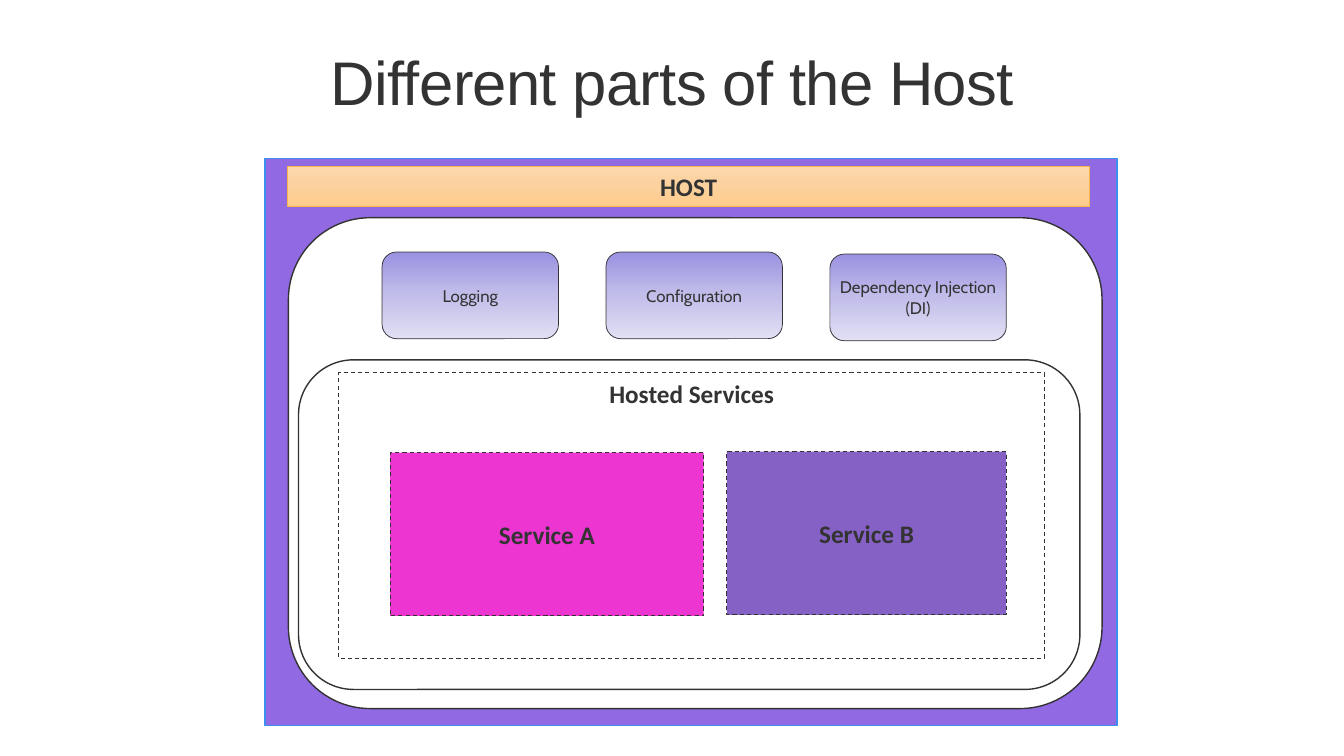
from copy import deepcopy
from pptx import Presentation
from pptx.dml.color import RGBColor
from pptx.enum.dml import MSO_LINE
from pptx.enum.shapes import MSO_SHAPE
from pptx.enum.text import MSO_ANCHOR, MSO_AUTO_SIZE, PP_ALIGN
from pptx.oxml.ns import qn
from pptx.util import Inches, Pt

INK = "333333"
WHITE = "FFFFFF"
CARD_GRADIENT = ["9A92E1", "C2BEEA", "E1DFF4"]
HOST_GRADIENT = ["FDD9AC", "FBD19D", "FFCC8B"]

deck = Presentation()
deck.slide_width = Inches(13.33)
deck.slide_height = Inches(7.5)
page = deck.slides.add_slide(deck.slide_layouts[5])

# One percent of the slide's width and height
COLUMN = deck.slide_width / 100
ROW = deck.slide_height / 100


def color(value):
    return RGBColor.from_string(value)


def draw(kind, area, fill, line, weight, text="", font="Calibri", size=18,
         bold=True, dashed=False, anchor=MSO_ANCHOR.MIDDLE):
    """Add a shape; area is left, top, width, height in percent of the slide."""
    left, top, width, height = area
    box = page.shapes.add_shape(kind, int(left * COLUMN), int(top * ROW),
                                int(width * COLUMN), int(height * ROW))
    box.shadow.inherit = False
    if fill is None:
        box.fill.background()
    elif isinstance(fill, list):
        # Three stops, running from top to bottom
        box.fill.gradient()
        box.fill.gradient_angle = 270
        first = box._element.spPr.find(qn("a:gradFill")).gsLst[0]
        first.addnext(deepcopy(first))
        for index, stop in enumerate(box.fill.gradient_stops):
            stop.position = index / 2
            stop.color.rgb = color(fill[index])
    else:
        box.fill.solid()
        box.fill.fore_color.rgb = color(fill)
    box.line.color.rgb = color(line)
    box.line.width = Pt(weight)
    if dashed:
        box.line.dash_style = MSO_LINE.DASH

    if text:
        frame = box.text_frame
        frame.word_wrap = True
        frame.vertical_anchor = anchor
        para = frame.paragraphs[0]
        para.alignment = PP_ALIGN.CENTER
        for index, words in enumerate(text.split("\n")):
            if index:
                para.add_line_break()
            span = para.add_run()
            span.text = words
            span.font.name = font
            span.font.size = Pt(size)
            span.font.bold = bold
            span.font.color.rgb = color(INK)
    return box


# Title
title = page.shapes.title
title.left, title.top = int(5.03 * COLUMN), int(5.33 * ROW)
title.width, title.height = int(90 * COLUMN), int(12 * ROW)
frame = title.text_frame
frame.auto_size = MSO_AUTO_SIZE.NONE
frame.word_wrap = True
frame.vertical_anchor = MSO_ANCHOR.MIDDLE
frame.margin_left = frame.margin_top = frame.margin_right = frame.margin_bottom = 0
para = frame.paragraphs[0]
para.alignment = PP_ALIGN.CENTER
para.line_spacing = 0.9
span = para.add_run()
span.text = "Different parts of the Host"
span.font.name = "Arial"
span.font.size = Pt(44)
span.font.color.rgb = color(INK)
span.font._element.set("spc", "-50")

# Host frame, its heading bar and the area inside
draw(MSO_SHAPE.RECTANGLE, (19.73, 20.93, 63.39, 75.07), "9169E2", "3E8EED", 1)
draw(MSO_SHAPE.RECTANGLE, (21.38, 22, 59.71, 5.33), HOST_GRADIENT, "F7B548", 0.5, "HOST")
draw(MSO_SHAPE.ROUNDED_RECTANGLE, (21.46, 28.8, 60.54, 64.93), WHITE, INK, 1)

# Cards for the parts of the host
cards = [("Logging", 33.33), ("Configuration", 33.33), ("Dependency Injection\n(DI)", 33.6)]
for index, (label, top) in enumerate(cards):
    card = draw(MSO_SHAPE.ROUNDED_RECTANGLE, (28.43 + 16.66 * index, top, 13.13, 11.47),
                CARD_GRADIENT, INK, 0.5, label, font="Cabin", size=12, bold=False)
    card.text_frame.margin_left = card.text_frame.margin_right = 0
    card.text_frame.margin_top = card.text_frame.margin_bottom = int(2.13 * ROW)

# Hosted services
draw(MSO_SHAPE.ROUNDED_RECTANGLE, (22.21, 47.6, 58.14, 43.6), WHITE, INK, 1)
draw(MSO_SHAPE.RECTANGLE, (25.21, 49.33, 52.51, 37.73), None, INK, 0.75,
     "Hosted Services", dashed=True, anchor=MSO_ANCHOR.TOP)
services = [
    ("Service A", (29.03, 59.87, 23.33, 21.6), "ED35D1"),
    ("Service B", (54.09, 59.73, 20.78, 21.6), "8661C5"),
]
for label, area, fill in services:
    draw(MSO_SHAPE.RECTANGLE, area, fill, INK, 0.75, label, dashed=True)

deck.save("out.pptx")
